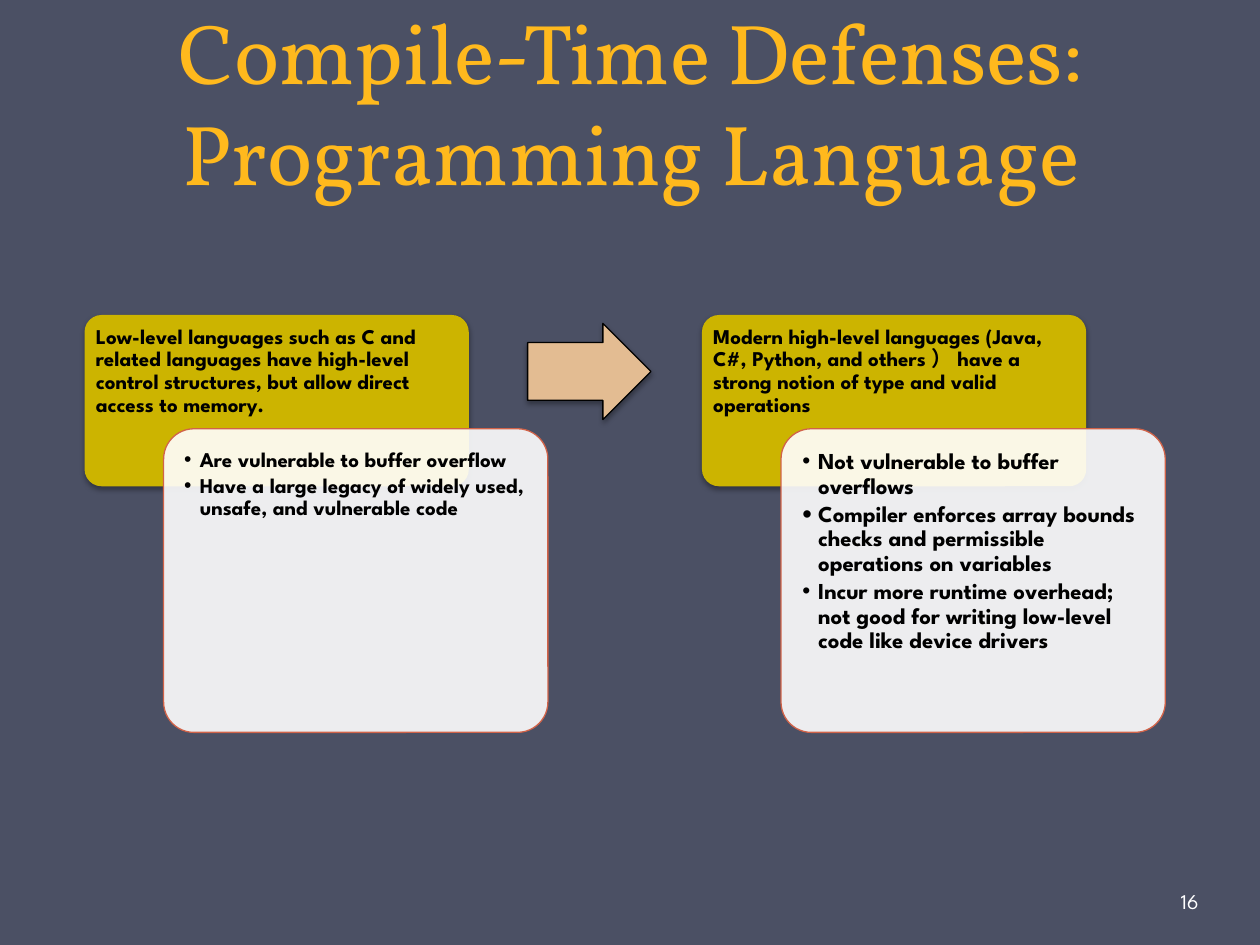
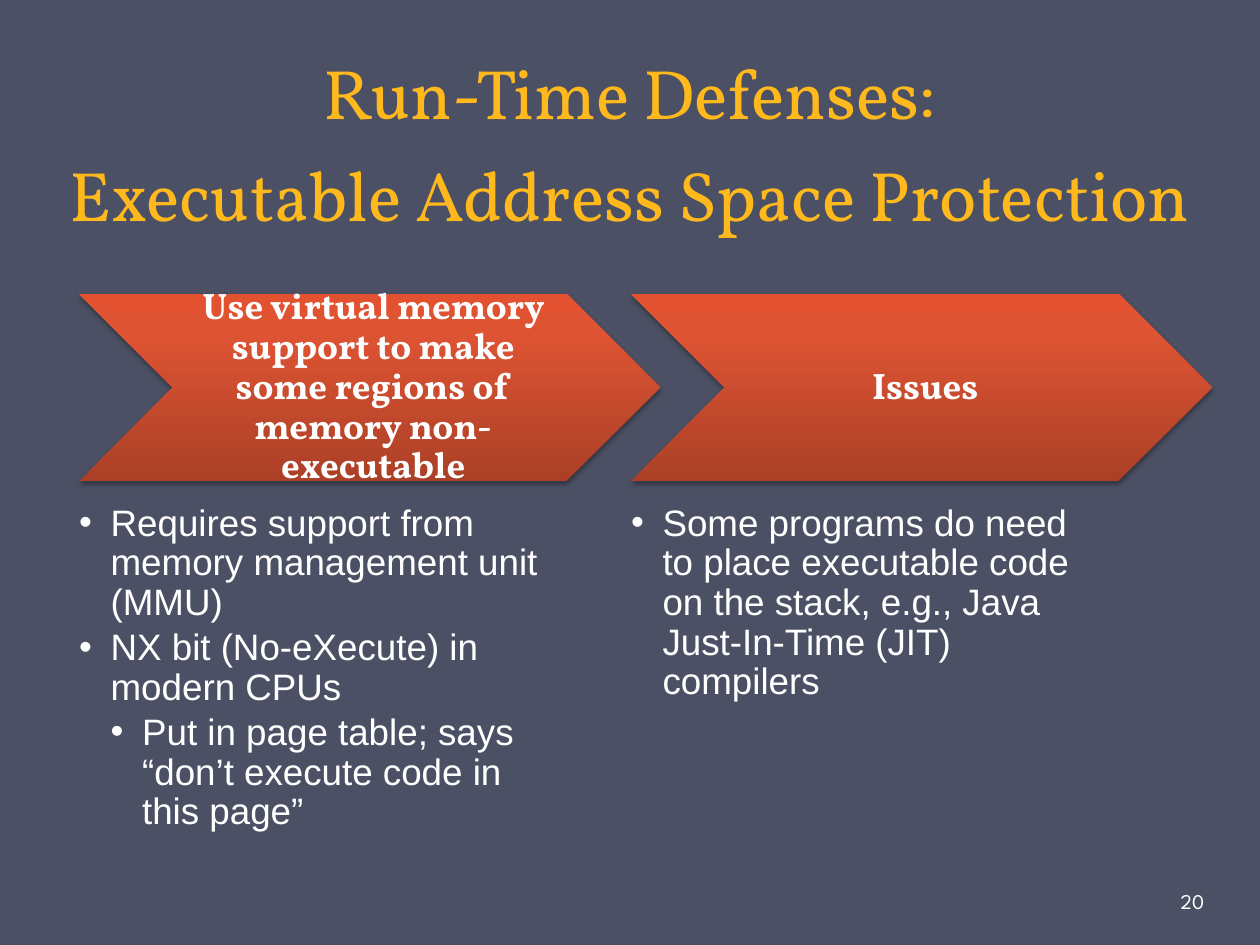
from lxml import etree
from pptx import Presentation
from pptx.dml.color import RGBColor
from pptx.enum import shapes, text
from pptx.oxml import ns, parse_xml
from pptx.util import Pt

NAVY, GOLD, WHITE, BLACK = "4B5064", "FFB91D", "FFFFFF", "000000"
OLIVE, RUST, SAND = "CCB400", "D16349", "E3BC92"
CHEVRON_STOPS = [(0, "AB4027"), (80, "DE5433"), (100, "E35230")]
SERIF, GEOMETRIC, SANS = "Vollkorn", "League Spartan", "Arial"
SHAPE = shapes.MSO_SHAPE
ANCHOR = text.MSO_ANCHOR
ALIGN = text.PP_ALIGN


def rgb(value):
    return RGBColor.from_string(value)


def sub(parent, tag, **attrs):
    return etree.SubElement(parent, ns.qn(tag), attrs)


def set_font(p, name, size, color, bold=False):
    f = p.font
    f.name, f.size, f.bold = name, Pt(size), bold
    f.color.rgb = rgb(color)


def set_frame(tf, anchor, insets):
    tf.word_wrap = True
    tf.auto_size = text.MSO_AUTO_SIZE.NONE
    tf.vertical_anchor = anchor
    tf.margin_left, tf.margin_top, tf.margin_right, tf.margin_bottom = map(Pt, insets)


def place(sp, box):
    sp.left, sp.top, sp.width, sp.height = map(Pt, box)


def add_box(slide, kind, box, fill=None, line=None, alpha=None, adj=()):
    sp = slide.shapes.add_shape(kind, *map(Pt, box))
    sp.shadow.inherit = False
    for i, value in enumerate(adj):
        sp.adjustments[i] = value
    if fill:
        sp.fill.solid()
        sp.fill.fore_color.rgb = rgb(fill)
    if alpha:
        color = sp._element.spPr.find(".//" + ns.qn("a:srgbClr"))
        sub(color, "a:alpha", val=str(alpha * 1000))
    if line:
        sp.line.color.rgb = rgb(line)
        sp.line.width = Pt(0.75)
    else:
        sp.line.fill.background()
    return sp


def add_shadow(sp):
    effects = sp._element.spPr.find(ns.qn("a:effectLst"))
    shadow = sub(effects, "a:outerShdw", blurRad=str(Pt(3.1)), dist=str(Pt(1.8)),
                 dir="5400000", rotWithShape="0")
    sub(sub(shadow, "a:srgbClr", val=BLACK), "a:alpha", val="35000")


def fill_gradient(sp, stops):
    grad = parse_xml(f"<a:gradFill {ns.nsdecls('a')}/>")
    gs_list = sub(grad, "a:gsLst")
    for pos, color in stops:
        sub(sub(gs_list, "a:gs", pos=str(pos * 1000)), "a:srgbClr", val=color)
    sub(grad, "a:lin", ang="16200000", scaled="0")
    sp._element.spPr.find(ns.qn("a:prstGeom")).addnext(grad)


def write_heading(sp, words, anchor, align, insets, font):
    set_frame(sp.text_frame, anchor, insets)
    p = sp.text_frame.paragraphs[0]
    p.text, p.alignment, p.line_spacing = words, align, 0.9
    set_font(p, *font)


def write_list(tf, items, indent, font):
    for i, (words, level, bullet_size) in enumerate(items):
        p = tf.paragraphs[0] if i == 0 else tf.add_paragraph()
        p.text, p.level, p.alignment = words, level, ALIGN.LEFT
        pPr = p._p.get_or_add_pPr()
        pPr.set("marL", str(Pt(indent * (level + 1))))
        pPr.set("indent", str(-Pt(indent)))
        sub(pPr, "a:buSzPct", val=str(bullet_size * 1000))
        sub(pPr, "a:buFont", typeface=SANS)
        sub(pPr, "a:buChar", char="•")
        p.line_spacing, p.space_before = 0.9, Pt(0)
        p.space_after = Pt(round(font[1] * 0.15, 1))
        set_font(p, *font)


def start_slide(prs, layout, title, box, size, number):
    slide = prs.slides.add_slide(prs.slide_layouts[layout])
    sp = slide.shapes.title
    place(sp, box)
    set_frame(sp.text_frame, ANCHOR.BOTTOM, (7.2, 3.6, 7.2, 3.6))
    p = sp.text_frame.paragraphs[0]
    p.text, p.alignment, p.line_spacing = title, ALIGN.CENTER, Pt(58)
    set_font(p, SERIF, size, GOLD)
    sp = slide.shapes.add_textbox(*map(Pt, (672.5, 500.4, 44, 28.8)))
    set_frame(sp.text_frame, ANCHOR.MIDDLE, (2.2, 3.6, 3.6, 3.6))
    p = sp.text_frame.paragraphs[0]
    p.text = number
    set_font(p, GEOMETRIC, 12, WHITE)
    return slide


def add_language_card(slide, left, top, heading, items, size):
    width = 219.6
    sp = add_box(slide, SHAPE.ROUNDED_RECTANGLE, (left, top, width, 97.9), OLIVE, adj=[0.1])
    add_shadow(sp)
    write_heading(sp, heading, ANCHOR.TOP, ALIGN.LEFT, (3.6, 3.6, 3.6, 3.6),
                  (GEOMETRIC, 12, BLACK, True))
    sp = add_box(slide, SHAPE.ROUNDED_RECTANGLE, (left + 45.2, top + 65, width, 173.5),
                 WHITE, RUST, alpha=90, adj=[0.1])
    inset = size * 0.55
    set_frame(sp.text_frame, ANCHOR.TOP, [inset] * 4)
    write_list(sp.text_frame, items, 9, (GEOMETRIC, size, BLACK, True))


def add_chevron_column(slide, body, left, top, heading, items):
    sp = add_box(slide, SHAPE.CHEVRON, (left, top, 332, 107.2), adj=[0.5])
    fill_gradient(sp, CHEVRON_STOPS)
    add_shadow(sp)
    write_heading(sp, heading, ANCHOR.MIDDLE, ALIGN.CENTER, (6.5, 2.2, 2.2, 2.2),
                  (SERIF, 21, WHITE, True))
    place(body, (left, top + 120.4, 265.6, 182))
    set_frame(body.text_frame, ANCHOR.TOP, (0, 0, 0, 0))
    write_list(body.text_frame, items, 18, (SANS, 21, WHITE))


def build_compile_time(prs):
    slide = start_slide(prs, 5, "Compile-Time Defenses:\vProgramming Language",
                        (36.5, 9.4, 648, 110), 48.6, "16")
    cards = [
        ("Low-level languages such as C and related languages have high-level control "
         "structures, but allow direct access to memory.",
         [("Are vulnerable to buffer overflow", 0, 100),
          ("Have a large legacy of widely used, unsafe, and vulnerable code", 0, 100)], 12),
        ("Modern high-level languages (Java, C#, Python, and others ） have a strong "
         "notion of type and valid operations",
         [("Not vulnerable to buffer overflows", 0, 100),
          ("Compiler enforces array bounds checks and permissible operations on variables",
           0, 120),
          ("Incur more runtime overhead; not good for writing low-level code like "
           "device drivers", 0, 100)], 13),
    ]
    for i, card in enumerate(cards):
        add_language_card(slide, 48.3 + i * 352.8, 180, *card)
    arrow = add_box(slide, SHAPE.RIGHT_ARROW, (301.5, 184.8, 70.5, 55), SAND, BLACK,
                    adj=[0.6, 0.5])
    add_shadow(arrow)


def build_run_time(prs):
    slide = start_slide(prs, 3, "Run-Time Defenses:\vExecutable Address Space Protection",
                        (0, 10, 720, 128), 40, "20")
    columns = [
        ("Use virtual memory support to make some regions of memory non-executable",
         [("Requires support from memory management unit (MMU)", 0, 100),
          ("NX bit (No-eXecute) in modern CPUs", 0, 100),
          ("Put in page table; says “don’t execute code in this page”", 1, 100)]),
        ("Issues",
         [("Some programs do need to place executable code on the stack, e.g., Java "
           "Just-In-Time (JIT) compilers", 0, 100)]),
    ]
    for i, column in enumerate(columns):
        add_chevron_column(slide, slide.placeholders[i + 1], 45.2 + i * 315.4, 167.8, *column)


def main():
    prs = Presentation()
    prs.slide_width, prs.slide_height = Pt(720), Pt(540)
    fill = prs.slide_master.background.fill
    fill.solid()
    fill.fore_color.rgb = rgb(NAVY)
    build_compile_time(prs)
    build_run_time(prs)
    prs.save("out.pptx")


if __name__ == "__main__":
    main()
